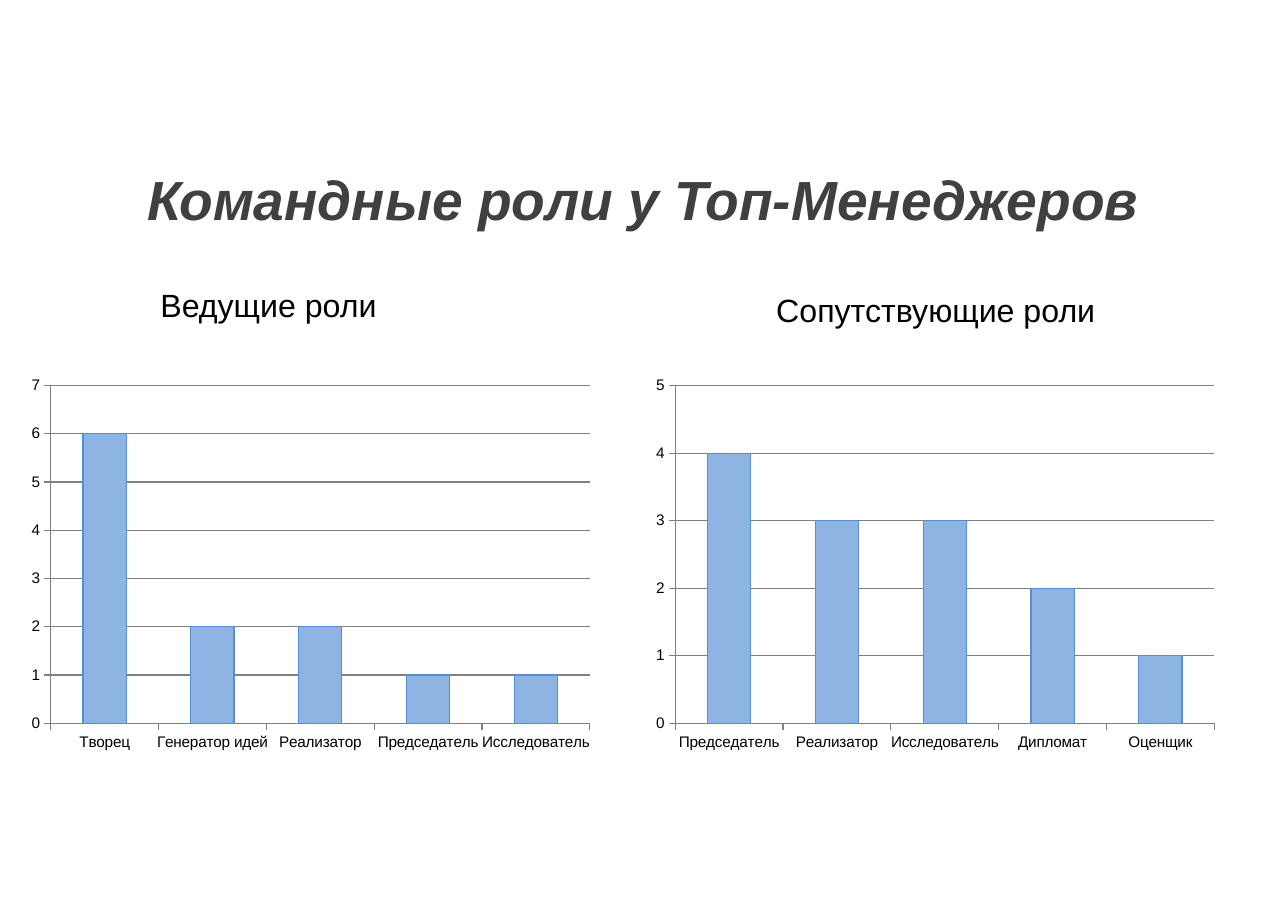
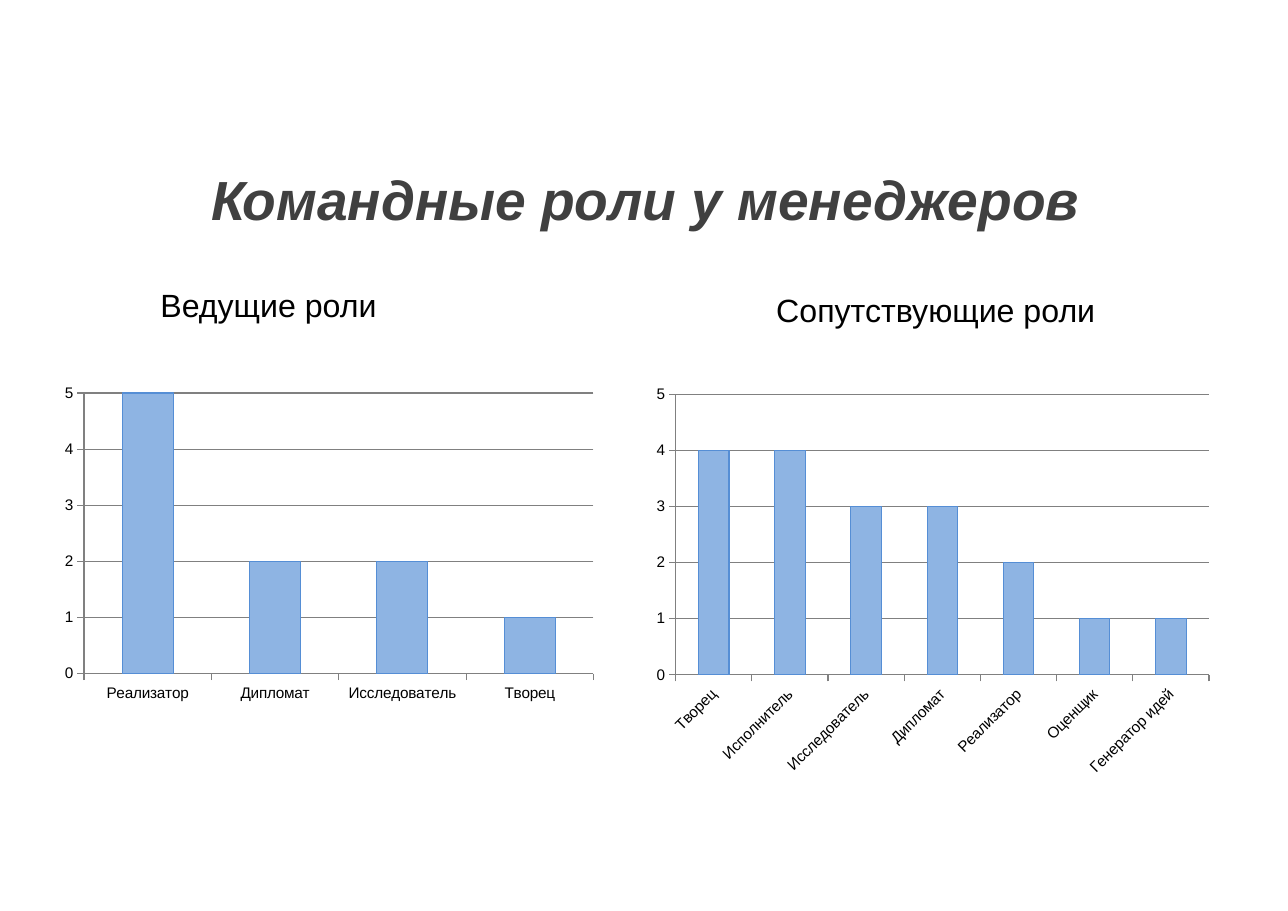
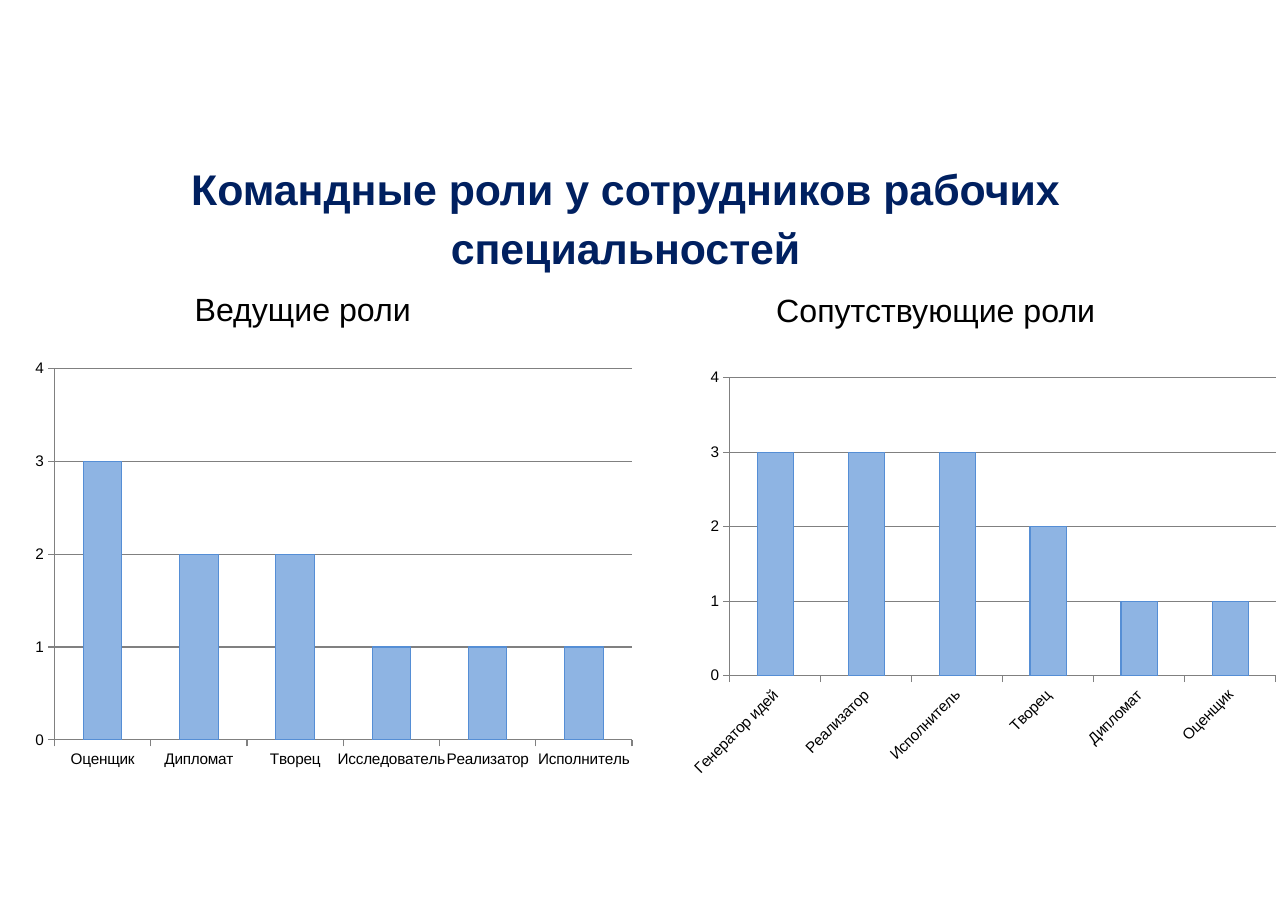
import lxml.etree
import pptx
import pptx.chart.data
import pptx.dml.color
import pptx.enum.chart
import pptx.enum.text
import pptx.oxml.ns
import pptx.util

Cm = pptx.util.Cm
Pt = pptx.util.Pt
RGB = pptx.dml.color.RGBColor.from_string

# Theme: colours, type sizes and line width
THEME = {
    "font": "Arial",
    "bar": RGB("8EB4E3"),
    "bar_line": RGB("558ED5"),
    "axis": RGB("808080"),
    "line": Pt(0.75),
    "title": {"size": Pt(36), "bold": True, "italic": True, "color": RGB("404040")},
    "title_blue": {"size": Pt(28), "bold": True, "italic": False, "color": RGB("002060")},
    "subtitle": {"size": Pt(21), "bold": False, "italic": False, "color": RGB("000000")},
    "label": {"size": Pt(10), "bold": False, "italic": False, "color": RGB("000000")},
}
LEADING, ACCOMPANYING = "Ведущие роли", "Сопутствующие роли"
ACCOMPANYING_AT = (17.65, 6.58, 7.92, 1.14)

# Content: boxes are left, top, width, height in cm
PAGES = [
    {
        "title": ("Командные роли у Топ-Менеджеров", "title", (2.06, 3.45, 25.55, 1.88)),
        "leading_at": (3.45, 6.45, 5.54, 1.14),
        "charts": [
            {"at": (0.46, 8.51, 13.41, 8.99), "top": 7,
             "roles": {"Творец": 6, "Генератор идей": 2, "Реализатор": 2,
                       "Председатель": 1, "Исследователь": 1}},
            {"at": (14.86, 8.51, 13.41, 8.99), "top": 5,
             "roles": {"Председатель": 4, "Реализатор": 3, "Исследователь": 3,
                       "Дипломат": 2, "Оценщик": 1}},
        ],
    },
    {
        "title": ("Командные роли у менеджеров", "title", (2.11, 3.45, 25.55, 2.49)),
        "leading_at": (3.45, 6.45, 5.54, 1.14),
        "charts": [
            {"at": (14.86, 8.89, 13.41, 9.19), "top": 5, "plot": (0.72, 0.2, 12.3, 6.47),
             "roles": {"Творец": 4, "Исполнитель": 4, "Исследователь": 3, "Дипломат": 3,
                       "Реализатор": 2, "Оценщик": 1, "Генератор идей": 1}},
            {"at": (1.24, 8.71, 12.7, 7.62), "top": 5,
             "roles": {"Реализатор": 5, "Дипломат": 2, "Исследователь": 2, "Творец": 1}},
        ],
    },
    {
        "title": ("Командные роли у сотрудников рабочих специальностей", "title_blue",
                  (1.65, 3.45, 25.55, 2.82)),
        "leading_at": (4.24, 6.55, 5.54, 1.14),
        "charts": [
            {"at": (0.53, 8.1, 14.33, 9.8), "top": 4,
             "roles": {"Оценщик": 3, "Дипломат": 2, "Творец": 2, "Исследователь": 1,
                       "Реализатор": 1, "Исполнитель": 1}},
            {"at": (15.65, 8.31, 14.05, 9.8), "top": 4,
             "roles": {"Генератор идей": 3, "Реализатор": 3, "Исполнитель": 3,
                       "Творец": 2, "Дипломат": 1, "Оценщик": 1}},
        ],
    },
]


def style_font(font, style):
    font.name = THEME["font"]
    for name, value in THEME[style].items():
        if name == "color":
            font.color.rgb = value
        else:
            setattr(font, name, value)


def add_text(page, text, style, at, wrap):
    box = page.shapes.add_textbox(*map(Cm, at))
    box.text_frame.word_wrap = wrap
    para = box.text_frame.paragraphs[0]
    span = para.add_run()
    span.text = text
    style_font(span.font, style)
    return para


deck = pptx.Presentation()
deck.slide_width, deck.slide_height = Cm(29.7), Cm(21)

for content in PAGES:
    page = deck.slides.add_slide(deck.slide_layouts[6])

    # Title
    text, style, at = content["title"]
    para = add_text(page, text, style, at, True)
    para.alignment = pptx.enum.text.PP_ALIGN.CENTER
    para.line_spacing = 1.15

    # Chart headings
    add_text(page, LEADING, "subtitle", content["leading_at"], False)
    add_text(page, ACCOMPANYING, "subtitle", ACCOMPANYING_AT, False)

    # Column charts
    for item in content["charts"]:
        data = pptx.chart.data.CategoryChartData()
        data.categories = list(item["roles"])
        data.add_series("Series 1", list(item["roles"].values()))
        chart = page.shapes.add_chart(
            pptx.enum.chart.XL_CHART_TYPE.COLUMN_CLUSTERED, *map(Cm, item["at"]), data).chart
        chart.has_legend = False
        chart.has_title = False
        style_font(chart.font, "label")

        # Bars
        plot = chart.plots[0]
        plot.gap_width = 150
        plot.vary_by_categories = False
        bars = plot.series[0].format
        bars.fill.solid()
        bars.fill.fore_color.rgb = THEME["bar"]
        bars.line.color.rgb = THEME["bar_line"]
        bars.line.width = THEME["line"]

        # Axes and gridlines
        scale = {"minimum_scale": 0, "maximum_scale": item["top"], "major_unit": 1,
                 "has_major_gridlines": True}
        for name, value in scale.items():
            setattr(chart.value_axis, name, value)
        for axis in (chart.category_axis, chart.value_axis):
            axis.major_tick_mark = pptx.enum.chart.XL_TICK_MARK.OUTSIDE
            style_font(axis.tick_labels.font, "label")
        for part in (chart.category_axis, chart.value_axis, chart.value_axis.major_gridlines):
            part.format.line.color.rgb = THEME["axis"]
            part.format.line.width = THEME["line"]

        # Fixed inner plot area, as shares of the chart's size
        if "plot" in item:
            area = chart._chartSpace.chart.plotArea
            for old in area.findall(pptx.oxml.ns.qn("c:layout")):
                area.remove(old)
            layout = lxml.etree.Element(pptx.oxml.ns.qn("c:layout"))
            manual = lxml.etree.SubElement(layout, pptx.oxml.ns.qn("c:manualLayout"))
            width, height = item["at"][2:]
            settings = [("layoutTarget", "inner"), ("xMode", "edge"), ("yMode", "edge")]
            for tag, length, whole in zip("xywh", item["plot"], (width, height) * 2):
                settings.append((tag, length / whole))
            for tag, value in settings:
                lxml.etree.SubElement(manual, pptx.oxml.ns.qn("c:" + tag)).set("val", str(value))
            area.insert(0, layout)

deck.save("out.pptx")
